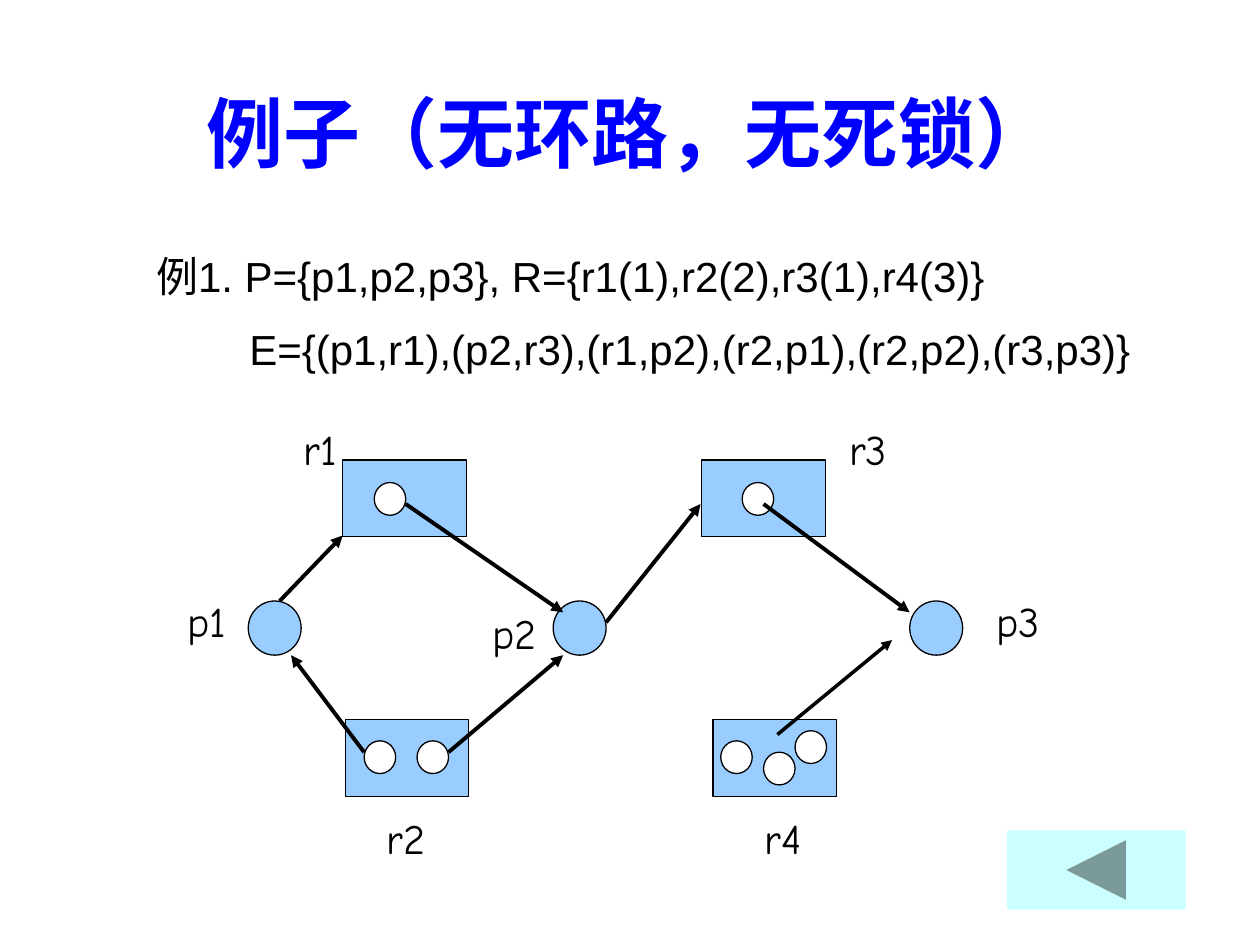
"""Build a slide showing a resource allocation graph without cycles."""
from lxml import etree
from pptx import Presentation
from pptx.dml.color import RGBColor
from pptx.enum import shapes, text
from pptx.oxml import ns
from pptx.util import Inches, Pt

COLORS = {"title": "0000FF", "ink": "000000", "node": "99CCFF", "unit": "FFFFFF", "button": "CCFFFF"}
KINDS = shapes.MSO_SHAPE


def add_text(slide, box, lines, font, size, color):
    shape = slide.shapes.add_textbox(*map(Inches, box))
    frame = shape.text_frame
    frame.word_wrap = True
    frame.text = "\n".join(lines)
    for paragraph in frame.paragraphs:
        for run in paragraph.runs:
            run.font.name = font
            run.font.size = Pt(size)
            run.font.color.rgb = RGBColor.from_string(COLORS[color])
    return frame


def add_filled(slide, kind, box, color):
    shape = slide.shapes.add_shape(kind, *map(Inches, box))
    shape.shadow.inherit = False
    shape.fill.solid()
    shape.fill.fore_color.rgb = RGBColor.from_string(COLORS[color])
    shape.line.color.rgb = RGBColor.from_string(COLORS["ink"])
    shape.line.width = Pt(0.75)
    return shape


presentation = Presentation()
presentation.slide_width = Inches(10)
presentation.slide_height = Inches(7.5)
slide = presentation.slides.add_slide(presentation.slide_layouts[6])

title = add_text(slide, (0.75, 0.42, 8.5, 1.25), ["例子（无环路，无死锁）"], "Times New Roman", 44, "title")
title.vertical_anchor = text.MSO_ANCHOR.MIDDLE
title.paragraphs[0].alignment = text.PP_ALIGN.CENTER
title.paragraphs[0].runs[0].font.bold = True

definition = [
    "例1. P={p1,p2,p3}, R={r1(1),r2(2),r3(1),r4(3)}",
    "E={(p1,r1),(p2,r3),(r1,p2),(r2,p1),(r2,p2),(r3,p3)}",
]
example = add_text(slide, (1.14, 1.94, 8.42, 1.1), definition, "Arial", 24, "ink")
edges_line = example.paragraphs[1]
edges_line.space_before = Pt(13)
edges_line._p.get_or_add_pPr().set("marL", str(Inches(0.74)))

resources = [
    (2.72, 3.65, [(2.97, 3.83)]),
    (5.57, 3.65, [(5.89, 3.83)]),
    (2.74, 5.71, [(2.89, 5.88), (3.31, 5.88)]),
    (5.66, 5.71, [(5.72, 5.88), (6.06, 5.97), (6.31, 5.8)]),
]
for left, top, units in resources:
    add_filled(slide, KINDS.RECTANGLE, (left, top, 0.98, 0.61), "node")
    for unit_left, unit_top in units:
        add_filled(slide, KINDS.OVAL, (unit_left, unit_top, 0.25, 0.26), "unit")

for left in (1.97, 4.39, 7.22):
    add_filled(slide, KINDS.OVAL, (left, 4.77, 0.42, 0.43), "node")

labels = {
    "p1": (1.39, 4.68), "p2": (3.81, 4.77), "p3": (7.81, 4.68),
    "r1": (2.31, 3.31), "r3": (6.64, 3.31), "r2": (2.97, 6.4), "r4": (5.97, 6.4),
}
for label, (left, top) in labels.items():
    add_text(slide, (left, top, 0.67, 0.5), [label], "Comic Neue", 24, "ink")

arrows = [
    (3.22, 4, 4.47, 4.86, 2.25),
    (3.56, 5.97, 4.47, 5.2, 2.25),
    (6.06, 4, 7.22, 4.86, 2.25),
    (2.89, 5.97, 2.31, 5.2, 2.25),
    (2.22, 4.77, 2.72, 4.25, 2.25),
    (4.81, 4.94, 5.56, 4, 2.25),
    (6.17, 5.83, 7.08, 5.08, 2),
]
for *ends, width in arrows:
    arrow = slide.shapes.add_connector(shapes.MSO_CONNECTOR.STRAIGHT, *map(Inches, ends))
    arrow.line.color.rgb = RGBColor.from_string(COLORS["ink"])
    arrow.line.width = Pt(width)
    etree.SubElement(arrow.line._get_or_add_ln(), ns.qn("a:tailEnd"), type="triangle")
    etree.SubElement(arrow._element.spPr, ns.qn("a:effectLst"))

button = add_filled(slide, KINDS.ACTION_BUTTON_BACK_OR_PREVIOUS, (7.99, 6.59, 1.42, 0.63), "button")
button.line.fill.background()

presentation.save("out.pptx")
